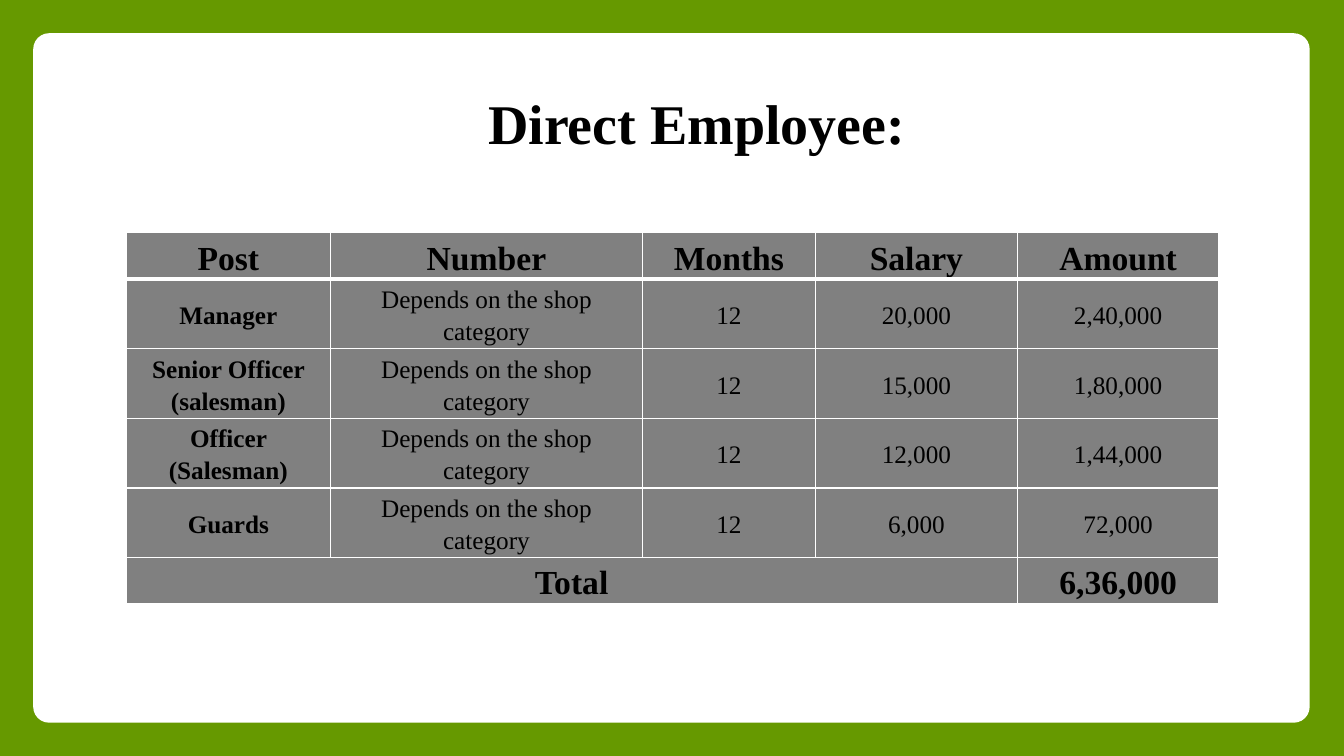
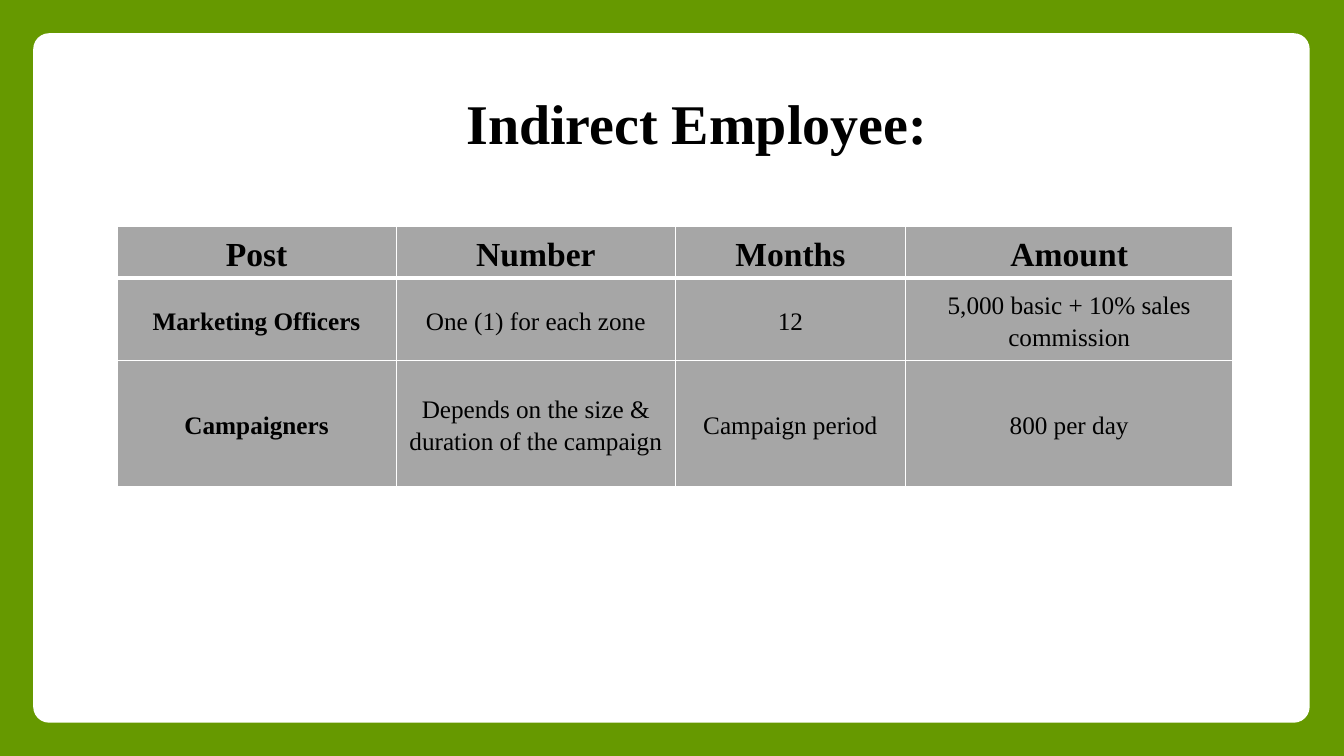
from lxml import etree
from pptx import Presentation
from pptx import util as u
from pptx.dml.color import RGBColor
from pptx.enum import shapes, text

W, H = 13.33, 7.5
FONT, GREEN, WHITE, BLACK = "Times New Roman", "669900", "FFFFFF", "000000"
TITLE_CENTER, TITLE_TOP, TITLE_HEIGHT = 6.91, 0.83, 0.77
BIG, SMALL = 24, 18
NS = "http://schemas.openxmlformats.org/drawingml/2006/main"
SHOP = "Depends on the shop category"

SLIDES = [
    dict(
        title="Direct Employee:", title_width=4.38, fill="808080",
        at=(1.25, 2.31), cols=[2.03, 3.09, 1.72, 2, 2],
        heights=[0.41, 0.62, 0.67, 0.62, 0.62, 0.44],
        rows=[
            ["Post", "Number", "Months", "Salary", "Amount"],
            ["Manager", SHOP, "12", "20,000", "2,40,000"],
            ["Senior Officer (salesman)", SHOP, "12", "15,000", "1,80,000"],
            ["Officer (Salesman)", SHOP, "12", "12,000", "1,44,000"],
            ["Guards", SHOP, "12", "6,000", "72,000"],
            ["Total", None, None, None, "6,36,000"],
        ],
    ),
    dict(
        title="Indirect Employee:", title_width=4.82, fill="A6A6A6",
        at=(1.16, 2.25), cols=[2.77, 2.77, 2.28, 3.25],
        heights=[0.51, 0.82, 1.25],
        rows=[
            ["Post", "Number", "Months", "Amount"],
            ["Marketing Officers", "One (1) for each zone", "12",
             "5,000 basic + 10% sales commission"],
            ["Campaigners", "Depends on the size & duration of the campaign",
             "Campaign period", "800 per day"],
        ],
    ),
]


def rgb(value):
    return RGBColor.from_string(value)


def paint(fill, value):
    fill.solid()
    fill.fore_color.rgb = rgb(value)


def write(tf, content, size, bold):
    p = tf.paragraphs[0]
    p.alignment = text.PP_ALIGN.CENTER
    r = p.add_run()
    r.text = content
    r.font.name, r.font.size, r.font.bold = FONT, u.Pt(size), bold
    r.font.color.rgb = rgb(BLACK)
    return p


def set_borders(cell, top, bottom):
    tc_pr = cell._tc.get_or_add_tcPr()
    for i, (side, width) in enumerate(zip("LRTB", (1, 1, top, bottom))):
        ln = etree.Element(f"{{{NS}}}ln{side}", w=str(u.Pt(width)))
        solid = etree.SubElement(ln, f"{{{NS}}}solidFill")
        etree.SubElement(solid, f"{{{NS}}}srgbClr", val=WHITE)
        tc_pr.insert(i, ln)


def add_panel(slide, master):
    paint(master.background.fill, GREEN)
    sp = slide.shapes.add_shape(
        shapes.MSO_SHAPE.ROUNDED_RECTANGLE,
        *map(u.Inches, (0.33, 0.33, 12.66, 6.84)))
    sp.adjustments[0] = 0.023
    sp.shadow.inherit = False
    paint(sp.fill, WHITE)
    sp.line.fill.background()
    master.shapes.element.insert(2, sp.element)


def add_title(slide, content, width):
    sp = slide.shapes.title
    sp.left, sp.top, sp.width, sp.height = map(
        u.Inches, (TITLE_CENTER - width / 2, TITLE_TOP, width, TITLE_HEIGHT))
    tf = sp.text_frame
    tf.word_wrap = False
    tf.auto_size = text.MSO_AUTO_SIZE.SHAPE_TO_FIT_TEXT
    tf.vertical_anchor = text.MSO_ANCHOR.TOP
    write(tf, content, 40, True)


def add_table(slide, at, cols, heights, rows, fill):
    table = slide.shapes.add_table(
        len(rows), len(cols),
        *map(u.Inches, (*at, sum(cols), sum(heights)))).table
    for column, width in zip(table.columns, cols):
        column.width = u.Inches(width)
    for i, (row, height) in enumerate(zip(rows, heights)):
        table.rows[i].height = u.Inches(height)
        strong = i == 0 or row[0] == "Total"
        for j, content in enumerate(row):
            cell = table.cell(i, j)
            paint(cell.fill, fill)
            set_borders(cell, 3 if i == 1 else 1, 3 if i == 0 else 1)
            cell.margin_left = cell.margin_right = u.Inches(0.07)
            cell.margin_top = cell.margin_bottom = 0
            cell.vertical_anchor = text.MSO_ANCHOR.MIDDLE
            if content:
                p = write(cell.text_frame, content,
                          BIG if strong else SMALL, strong or j == 0)
                p.line_spacing = 1.15
        if None in row:
            table.cell(i, 0).merge(table.cell(i, row.count(None)))


def main():
    prs = Presentation()
    prs.slide_width, prs.slide_height = u.Inches(W), u.Inches(H)
    for n, data in enumerate(SLIDES):
        s = prs.slides.add_slide(prs.slide_layouts[5])
        if n == 0:
            add_panel(s, prs.slide_master)
        add_title(s, data["title"], data["title_width"])
        add_table(s, data["at"], data["cols"], data["heights"],
                  data["rows"], data["fill"])
    prs.save("out.pptx")


if __name__ == "__main__":
    main()
